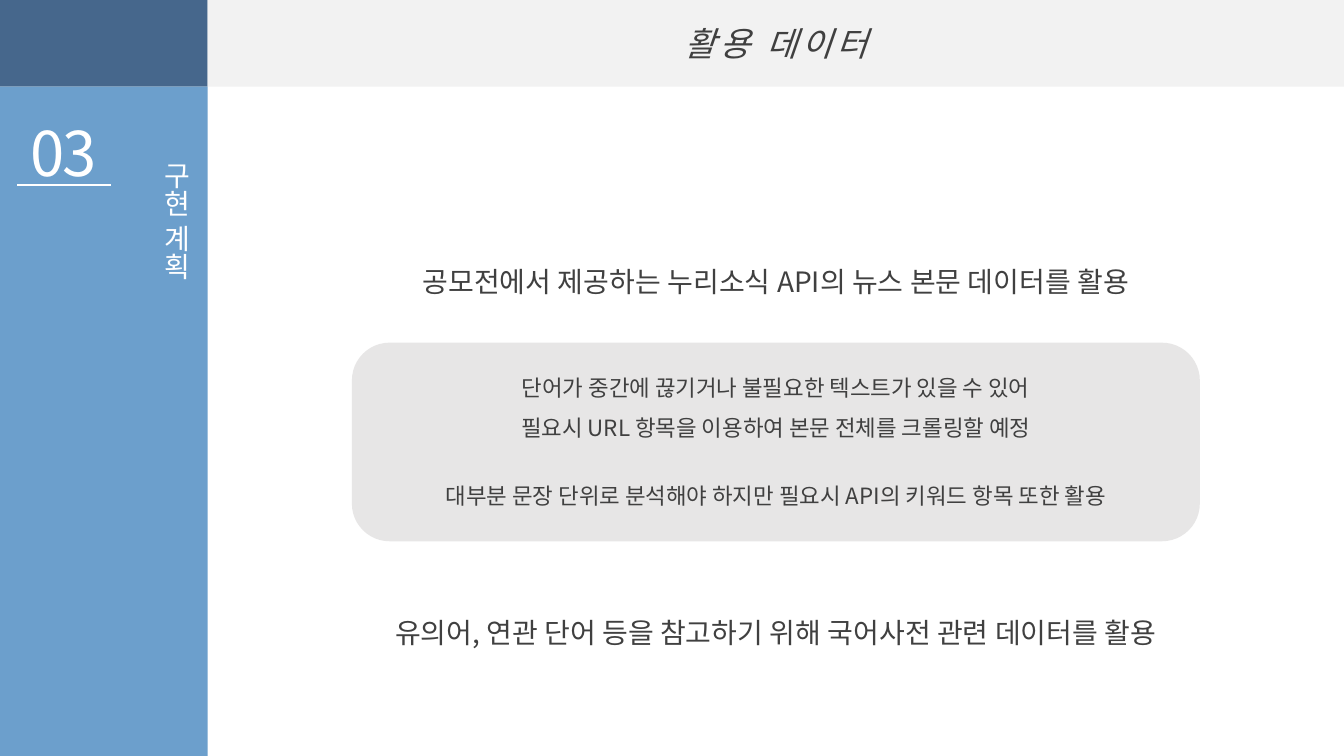
from lxml import etree
from pptx import Presentation
from pptx.dml.color import RGBColor
from pptx.enum.shapes import MSO_CONNECTOR, MSO_SHAPE
from pptx.enum.text import MSO_ANCHOR, MSO_AUTO_SIZE, PP_ALIGN
from pptx.oxml.ns import qn
from pptx.util import Inches, Pt

FONT = "Noto Sans CJK KR"
DARK, WHITE = "404040", "FFFFFF"
WIDTH, HEIGHT = 13.33, 7.5
SIDEBAR, HEADER = 2.06, 0.86

presentation = Presentation()
presentation.slide_width = Inches(WIDTH)
presentation.slide_height = Inches(HEIGHT)
slide = presentation.slides.add_slide(presentation.slide_layouts[1])
shapes = slide.shapes
title, body = slide.placeholders


def add_panel(kind, box, color):
    panel = shapes.add_shape(kind, *map(Inches, box))
    panel.shadow.inherit = False
    panel.fill.solid()
    panel.fill.fore_color.rgb = RGBColor.from_string(color)
    panel.line.fill.background()
    return panel


def write(shape, box, lines, size, color=DARK, align=PP_ALIGN.CENTER, spacing=0):
    """Place a text shape and fill it with (text, line spacing, points before) lines."""
    shape.left, shape.top, shape.width, shape.height = map(Inches, box)
    frame = shape.text_frame
    frame.word_wrap = True
    frame.auto_size = MSO_AUTO_SIZE.NONE
    frame.vertical_anchor = MSO_ANCHOR.TOP
    for index, (text, line_spacing, before) in enumerate(lines):
        paragraph = frame.add_paragraph() if index else frame.paragraphs[0]
        paragraph.alignment = align
        paragraph.line_spacing = line_spacing
        paragraph.space_before = Pt(before)
        properties = paragraph._p.get_or_add_pPr()
        properties.set("marL", "0")
        properties.set("indent", "0")
        etree.SubElement(properties, qn("a:buNone"))
        run = paragraph.add_run()
        run.text = text
        run.font.size = Pt(size)
        run.font.name = FONT
        run.font.color.rgb = RGBColor.from_string(color)
        run_properties = run.font._element
        etree.SubElement(run_properties, qn("a:ea")).set("typeface", FONT)
        if spacing:
            run_properties.set("spc", str(int(spacing * 100)))


# Background panels
note = add_panel(MSO_SHAPE.ROUNDED_RECTANGLE, (3.49, 3.4, 8.41, 1.97), "E7E6E6")
note.adjustments[0] = 0.19
for box, color in [
    ((0, 0, SIDEBAR, HEADER), "46678C"),
    ((0, HEADER, SIDEBAR, HEIGHT - HEADER), "6C9FCC"),
    ((SIDEBAR, 0, WIDTH - SIDEBAR, HEADER), "F2F2F2"),
]:
    add_panel(MSO_SHAPE.RECTANGLE, box, color)

# Title and note text, brought in front of the panels
for placeholder in (title, body):
    shapes._spTree.append(placeholder._element)
write(title, (5.7, 0.18, 4, 0.5), [("활용 데이터", 1, 0)], 24, spacing=3)
title.text_frame.paragraphs[0].runs[0].font.italic = True
write(body, (4.3, 3.66, 6.79, 1.45), [
    ("단어가 중간에 끊기거나 불필요한 텍스트가 있을 수 있어", 1, 0),
    ("필요시 URL 항목을 이용하여 본문 전체를 크롤링할 예정", 1.5, 0),
    ("대부분 문장 단위로 분석해야 하지만 필요시 API의 키워드 항목 또한 활용", 1, 29),
], 16)

# Sidebar: section number, rule and vertical section name
number = shapes.add_textbox(0, 0, 0, 0)
write(number, (0.17, 1.09, 0.92, 0.84), [("03", 1, 0)], 44, WHITE, spacing=-1.5)
rule = shapes.add_connector(
    MSO_CONNECTOR.STRAIGHT, Inches(0.17), Inches(1.84), Inches(1.1), Inches(1.84))
rule.line.color.rgb = RGBColor.from_string(WHITE)
rule.line.width = Pt(1.5)
etree.SubElement(rule._element.spPr, qn("a:effectLst"))
section = shapes.add_textbox(0, 0, 0, 0)
write(section, (1.43, 1.51, 0.54, 1.6), [("구현 계획", 1, 0)], 20, WHITE, PP_ALIGN.LEFT)
section.text_frame._txBody.bodyPr.set("vert", "eaVert")

# Main statements
for box, text in [
    ((4.07, 2.58, 7.25, 0.44), "공모전에서 제공하는 누리소식 API의 뉴스 본문 데이터를 활용"),
    ((3.73, 6.06, 7.93, 0.44), "유의어, 연관 단어 등을 참고하기 위해 국어사전 관련 데이터를 활용"),
]:
    write(shapes.add_textbox(0, 0, 0, 0), box, [(text, 1, 0)], 20)

presentation.save("out.pptx")
